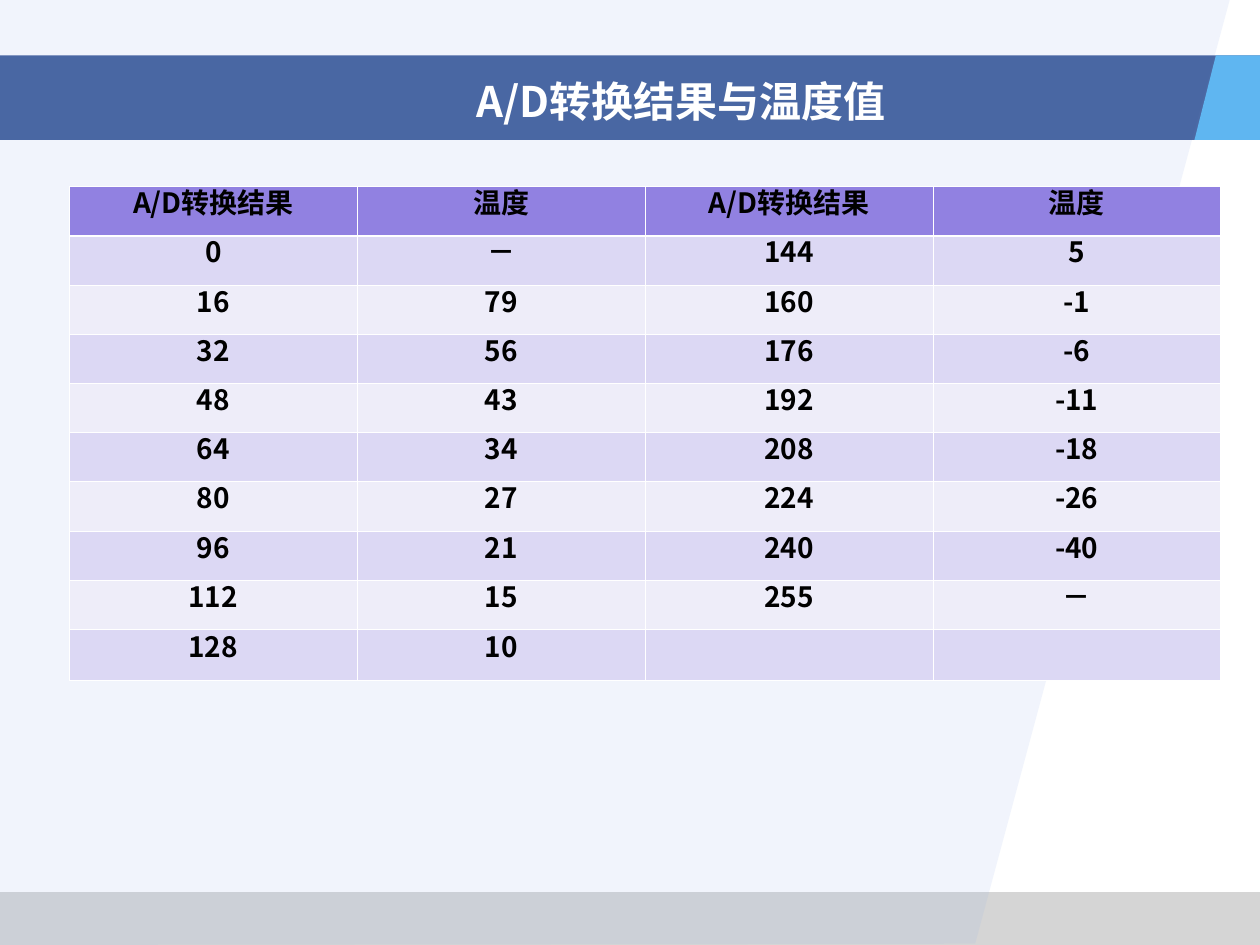
"""Builds the slide that tabulates A/D conversion results against temperature."""
from lxml import etree
from pptx import Presentation
from pptx import util as u
from pptx.dml.color import RGBColor
from pptx.enum import shapes, text
from pptx.oxml.ns import qn

FONT = "Noto Sans CJK SC"
COLORS = {
    "white": "FFFFFF", "black": "000000", "footer": "969696", "wash": "94B1EC",
    "band": "173D89", "accent": "5FB6F1", "header": "9181E1",
    "odd": "DCD8F4", "even": "EEEDF9",
}


def paint(shape, color, opacity=100):
    shape.shadow.inherit = False
    shape.line.fill.background()
    shape.fill.solid()
    shape.fill.fore_color.rgb = RGBColor.from_string(COLORS[color])
    if opacity < 100:
        tint = shape.fill._xPr.find(qn("a:solidFill"))[0]
        etree.SubElement(tint, qn("a:alpha"), val=str(opacity * 1000))


def style(paragraph, size, color, alignment):
    paragraph.alignment = alignment
    for run in paragraph.runs:
        run.font.size = u.Pt(size)
        run.font.bold = True
        run.font.color.rgb = RGBColor.from_string(COLORS[color])
        run.font.name = FONT
        etree.SubElement(run.font._element, qn("a:ea"), typeface=FONT)


presentation = Presentation()
presentation.slide_width = u.Inches(10)
presentation.slide_height = u.Inches(7.5)
column = presentation.slide_width / 100
row = presentation.slide_height / 100
slide = presentation.slides.add_slide(presentation.slide_layouts[5])

BAND_TOP, BAND_HEIGHT = 5.87, 8.93
BAND_BOTTOM = BAND_TOP + BAND_HEIGHT
rectangles = {
    "footer": (94.4, 5.6, 40),
    "band": (BAND_TOP, BAND_HEIGHT, 77),
}
outlines = {
    "wash": ([(0, 0), (97.6, 0), (77.4, 99.87), (0, 100)], 13),
    "accent": ([(96.5, BAND_TOP), (94.8, BAND_BOTTOM), (100, BAND_BOTTOM), (100, BAND_TOP)], 100),
}
for layer in ("footer", "wash", "band", "accent"):
    if layer in rectangles:
        top, height, opacity = rectangles[layer]
        shape = slide.shapes.add_shape(
            shapes.MSO_SHAPE.RECTANGLE, 0, int(top * row),
            presentation.slide_width, int(height * row))
    else:
        points, opacity = outlines[layer]
        corners = [(int(x * column), int(y * row)) for x, y in points]
        builder = slide.shapes.build_freeform(*corners[0])
        builder.add_line_segments(corners[1:], close=True)
        shape = builder.convert_to_shape()
    paint(shape, layer, opacity)

readings = [
    ("A/D转换结果", "温度", "A/D转换结果", "温度"),
    ("0", "－", "144", "5"),
    ("16", "79", "160", "-1"),
    ("32", "56", "176", "-6"),
    ("48", "43", "192", "-11"),
    ("64", "34", "208", "-18"),
    ("80", "27", "224", "-26"),
    ("96", "21", "240", "-40"),
    ("112", "15", "255", "－"),
    ("128", "10", "", ""),
]
table = slide.shapes.add_table(
    len(readings), 4, int(5.5 * column), int(19.73 * row),
    int(91.4 * column), int(52.1 * row)).table

for row_index, values in enumerate(readings):
    fill = "header" if row_index == 0 else "odd" if row_index % 2 else "even"
    borders = {"lnL": 0.45, "lnR": 0.45, "lnT": 0.45, "lnB": 0.45}
    if row_index < 2:
        borders["lnT" if row_index else "lnB"] = 1.47
    for column_index, value in enumerate(values):
        cell = table.cell(row_index, column_index)
        cell.vertical_anchor = text.MSO_ANCHOR.MIDDLE
        cell.margin_left = cell.margin_right = u.Inches(0.02)
        properties = cell._tc.get_or_add_tcPr()
        for side, weight in borders.items():
            line = etree.SubElement(properties, qn(f"a:{side}"), w=str(u.Pt(weight)))
            solid = etree.SubElement(line, qn("a:solidFill"))
            etree.SubElement(solid, qn("a:srgbClr"), val=COLORS["white"])
        cell.fill.solid()
        cell.fill.fore_color.rgb = RGBColor.from_string(COLORS[fill])
        if value:
            cell.text_frame.text = value
            paragraph = cell.text_frame.paragraphs[0]
            paragraph.line_spacing = u.Pt(12)
            style(paragraph, 16, "black", text.PP_ALIGN.CENTER)

title = slide.shapes.title
title.left, title.top = int(36.8 * column), int(7.33 * row)
title.width, title.height = int(35.6 * column), int(6.67 * row)
title.text_frame.text = "A/D转换结果与温度值"
title.text_frame.word_wrap = False
title.text_frame.auto_size = text.MSO_AUTO_SIZE.SHAPE_TO_FIT_TEXT
title.text_frame.vertical_anchor = text.MSO_ANCHOR.TOP
style(title.text_frame.paragraphs[0], 24, "white", text.PP_ALIGN.LEFT)
slide.shapes._spTree.append(title._element)

presentation.save("out.pptx")
